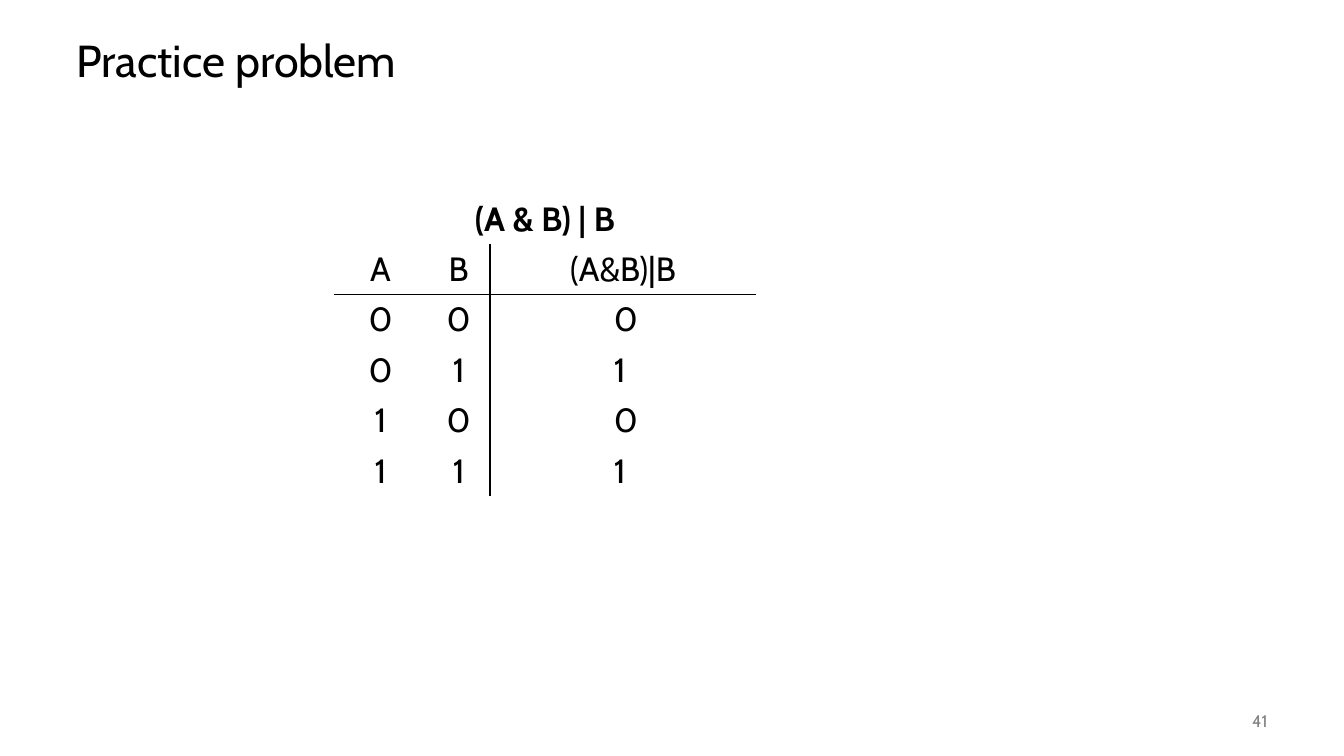
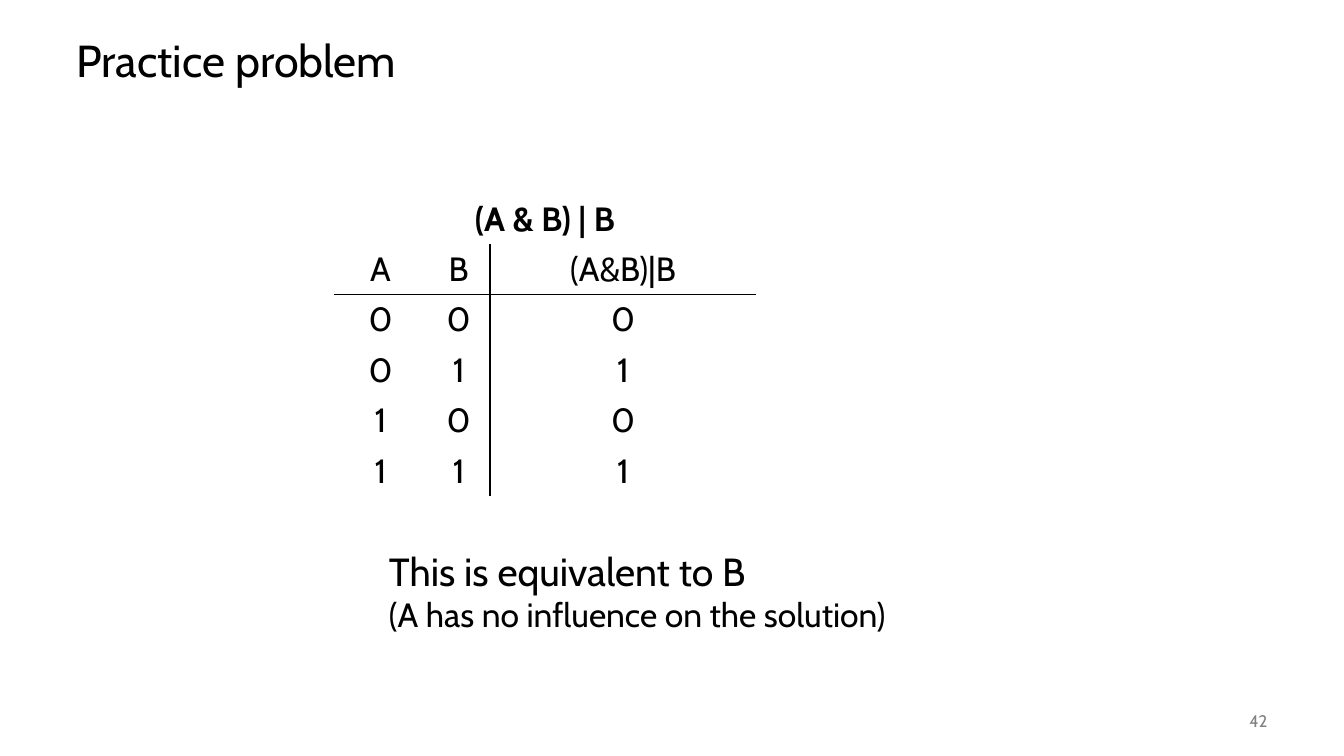
from lxml import etree
from pptx import Presentation
from pptx.dml.color import RGBColor
from pptx.enum import text
from pptx.oxml.ns import qn
from pptx.util import Inches, Pt

FONT = "Cabin"
BLACK = RGBColor(0x00, 0x00, 0x00)
GRAY = RGBColor(0x80, 0x80, 0x80)
LEFT, CENTER, RIGHT = (text.PP_ALIGN.LEFT, text.PP_ALIGN.CENTER,
                       text.PP_ALIGN.RIGHT)
TOP, MIDDLE = text.MSO_ANCHOR.TOP, text.MSO_ANCHOR.MIDDLE

# Content
TITLE = "Practice problem"
EXPRESSION = "(A & B) | B"
HEADER = ("A", "B", "(A&B)|B")
TRUTH = [("0", "0", "0"), ("0", "1", "1"), ("1", "0", "0"), ("1", "1", "1")]
CONCLUSION = [("This is equivalent to B", 28),
              ("(A has no influence on the solution)", 24)]
FIRST_NUMBER = 41

# Table geometry in inches
TABLE_LEFT, TABLE_TOP = 3.31, 1.92
COL_WIDTHS = (0.93, 0.62, 2.64)
ROW_HEIGHT = 0.5
ANSWER_LEFT, ANSWER_TOP, ANSWER_SIZE = 5.99, 2.91, (0.41, 0.5)


def write(tf, lines, size=24, color=BLACK, bold=False, align=LEFT,
          spacing=None):
    """Write a string, or (string, size) lines split by line breaks."""
    if isinstance(lines, str):
        lines = [(lines, size)]
    p = tf.paragraphs[0]
    p.alignment = align
    if spacing:
        p.line_spacing = spacing
    for i, (line, line_size) in enumerate(lines):
        if i:
            p.add_line_break()
        r = p.add_run()
        r.text = line
        r.font.name, r.font.size, r.font.bold = FONT, Pt(line_size), bold
        r.font.color.rgb = color


def add_text(s, box, lines, anchor=TOP, **style):
    tf = s.shapes.add_textbox(*map(Inches, box)).text_frame
    tf.word_wrap = True
    tf.vertical_anchor = anchor
    write(tf, lines, **style)


def set_borders(cell, sides):
    """Draw 1 pt black lines on the given sides and none on the others."""
    tc_pr = cell._tc.get_or_add_tcPr()
    for i, side in enumerate("LRTB"):
        ln = etree.Element(qn(f"a:ln{side}"), w=str(Pt(1)))
        if side in sides:
            fill = etree.SubElement(ln, qn("a:solidFill"))
            etree.SubElement(fill, qn("a:srgbClr"), val=str(BLACK))
        else:
            etree.SubElement(ln, qn("a:noFill"))
        tc_pr.insert(i, ln)


def add_truth_table(s, with_answers):
    rows = [(EXPRESSION, "", ""), HEADER]
    rows += [row if with_answers else (*row[:2], "") for row in TRUTH]
    table = s.shapes.add_table(
        len(rows), len(COL_WIDTHS), Inches(TABLE_LEFT), Inches(TABLE_TOP),
        Inches(sum(COL_WIDTHS)), Inches(ROW_HEIGHT * len(rows))).table
    table.first_row = table.horz_banding = False
    for column, width in zip(table.columns, COL_WIDTHS):
        column.width = Inches(width)
    table.cell(0, 0).merge(table.cell(0, len(COL_WIDTHS) - 1))

    for i, row in enumerate(rows):
        for j, value in enumerate(row):
            cell = table.cell(i, j)
            cell.fill.background()
            cell.vertical_anchor = MIDDLE
            # Rule under the header, and one before the answer column
            sides = {1: "B", 2: "T"}.get(i, "")
            if i:
                sides += ("", "R", "L")[j]
            set_borders(cell, sides)
            if value:
                write(cell.text_frame, value, bold=i == 0, align=CENTER)


def add_slide(prs, number, with_answers):
    s = prs.slides.add_slide(prs.slide_layouts[6])
    add_text(s, (0.66, 0.25, 12, 0.75), TITLE, anchor=MIDDLE, size=32,
             spacing=0.9)
    add_text(s, (11.67, 6.95, 1, 0.4), str(number), anchor=MIDDLE, size=12,
             color=GRAY, align=RIGHT)
    add_truth_table(s, with_answers)
    return s


def main():
    prs = Presentation()
    prs.slide_width, prs.slide_height = Inches(13.33), Inches(7.5)

    # Problem: answers laid over the empty column
    s = add_slide(prs, FIRST_NUMBER, with_answers=False)
    for i, row in enumerate(TRUTH):
        top = ANSWER_TOP + i * ROW_HEIGHT
        add_text(s, (ANSWER_LEFT, top, *ANSWER_SIZE), row[-1])

    # Solution: answers in the table, with the conclusion below
    s = add_slide(prs, FIRST_NUMBER + 1, with_answers=True)
    add_text(s, (3.76, 5.38, 6.47, 0.98), CONCLUSION)

    prs.save("out.pptx")


if __name__ == "__main__":
    main()
